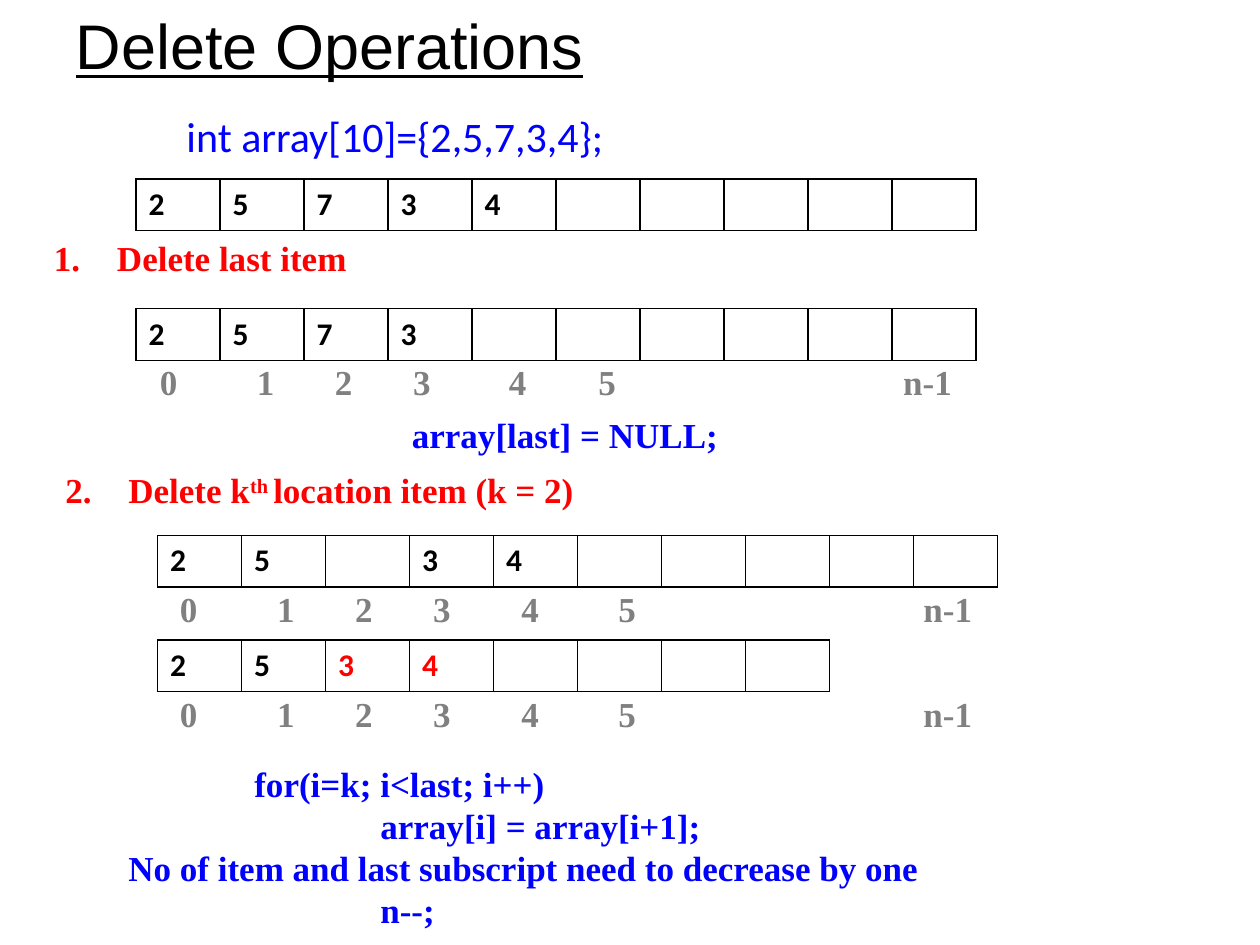
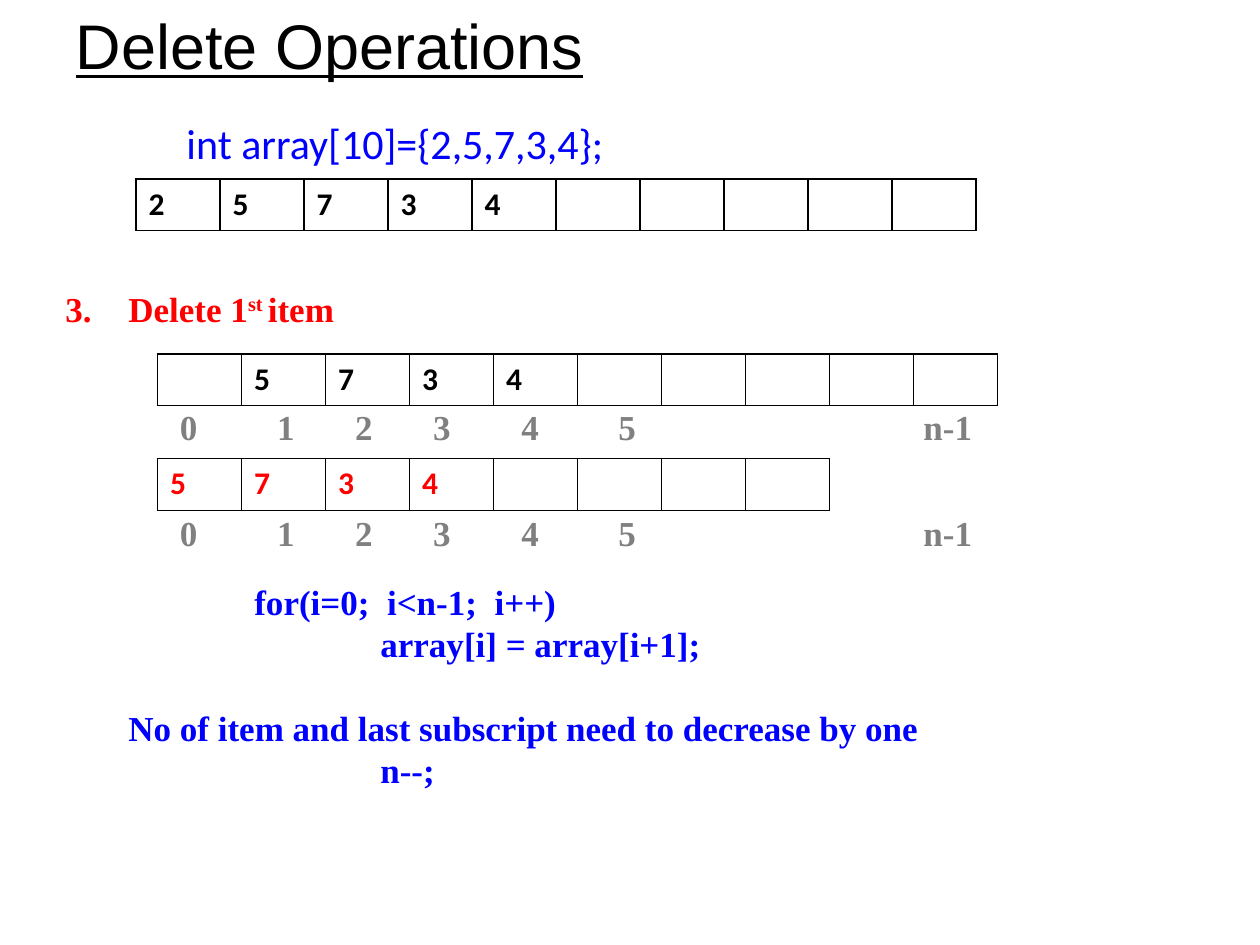
from lxml import etree
from pptx import Presentation
from pptx.dml.color import RGBColor
from pptx.enum.text import MSO_ANCHOR, MSO_AUTO_SIZE as AUTO, PP_ALIGN
from pptx.oxml.ns import qn
from pptx.util import Inches, Pt

BLACK, WHITE, RED, BLUE, GREY = "000000", "FFFFFF", "FF0000", "0000FF", "808080"
TITLE = dict(name="Arial", size=Pt(36), underline=True, color=BLACK)
DECLARATION = dict(name="Calibri", size=Pt(24), color=BLUE)
CELL = dict(name="Calibri", size=Pt(18), bold=True)
SERIF = dict(name="Times New Roman", size=Pt(20), bold=True)

CELL_W, CELL_H = 2 / 3, 0.41
LINE_H = 24  # points
INDENT = 1.0

# Arrays: left, top, cell count, values, colours of the values
# Index rows: left, top, tab position of index 4
# Headings: left, top, number, runs (every second one superscript)
# Code: left, top, width, height, wrap, lines of (indent level, space before, text)
slides = [
    dict(
        body_top=0.83,
        arrays=[
            (1.08, 1.42, 10, "25734", [BLACK] * 5),
            (1.08, 2.45, 10, "2573", [BLACK] * 4),
            (1.25, 4.25, 10, "25 34", [BLACK] * 5),
            (1.25, 5.08, 8, "2534", [BLACK] * 2 + [RED] * 2),
        ],
        indices=[(1.17, 2.81, 2.77), (1.33, 4.61, 2.71), (1.33, 5.45, 2.71)],
        headings=[
            (0.33, 1.83, 1, ["Delete last item"]),
            (0.42, 3.67, 2, ["Delete k", "th ", "location item (k = 2)"]),
        ],
        code=[
            (3.17, 3.23, 2.72, 0.44, False, [(0, 0, "array[last] = NULL;")]),
            (0.92, 6, 7.92, 1.78, True, [
                (1, 0, "for(i=k; i<last; i++)"),
                (2, 0, "array[i] = array[i+1];"),
                (0, 0, "No of item and last subscript need to decrease by one"),
                (2, 0, "n--;"),
            ]),
        ],
    ),
    dict(
        body_top=0.88,
        arrays=[
            (1.08, 1.42, 10, "25734", [BLACK] * 5),
            (1.25, 2.81, 10, " 5734", [BLACK] * 5),
            (1.25, 3.64, 8, "5734", [RED] * 4),
        ],
        indices=[(1.33, 3.17, 2.71), (1.33, 4.01, 2.71)],
        headings=[(0.42, 2.23, 3, ["Delete 1", "st ", "item"])],
        code=[
            (0.92, 4.56, 7.92, 2.12, True, [
                (1, 0, "for(i=0;  i<n-1;  i++)"),
                (2, 0, "array[i] = array[i+1];"),
                (0, LINE_H, "No of item and last subscript need to decrease by one"),
                (2, 0, "n--;"),
            ]),
        ],
    ),
]


def write(p, text, fmt, color):
    """Add a run to a paragraph and format it from a dict."""
    r = p.add_run()
    r.text = text
    for key, value in fmt.items():
        if key != "color":
            setattr(r.font, key, value)
    r.font.color.rgb = RGBColor.from_string(color)
    return r


def add_box(s, left, top, width, height, wrap=True):
    tf = s.shapes.add_textbox(*map(Inches, (left, top, width, height))).text_frame
    tf.word_wrap = wrap
    tf.auto_size = AUTO.SHAPE_TO_FIT_TEXT
    return tf


prs = Presentation()
prs.slide_width, prs.slide_height = Inches(10), Inches(7.5)

for content in slides:
    s = prs.slides.add_slide(prs.slide_layouts[1])

    title, body = s.placeholders
    for ph, top, height in ((title, -0.08, 0.87), (body, content["body_top"], 5.37)):
        ph.left, ph.top, ph.width, ph.height = map(Inches, (0.5, top, 9, height))
        ph.text_frame.auto_size = AUTO.NONE
    title.text_frame.vertical_anchor = MSO_ANCHOR.MIDDLE
    p = title.text_frame.paragraphs[0]
    p.alignment = PP_ALIGN.LEFT
    write(p, "Delete Operations", TITLE, TITLE["color"])

    p = body.text_frame.paragraphs[0]
    p.level = 1
    p.space_before = Pt(0)
    pPr = p._p.get_or_add_pPr()
    pPr.set("marL", str(Inches(0.88)))
    pPr.set("indent", "0")
    etree.SubElement(pPr, qn("a:buNone"))
    write(p, "int array[10]={2,5,7,3,4};", DECLARATION, DECLARATION["color"])

    for left, top, count, values, colors in content["arrays"]:
        box = map(Inches, (left, top, count * CELL_W, CELL_H))
        table = s.shapes.add_table(1, count, *box).table
        table.first_row = table.horz_banding = False
        for column in table.columns:
            column.width = Inches(CELL_W)
        for cell in table.iter_cells():
            tcPr = cell._tc.get_or_add_tcPr()
            for side in ("a:lnL", "a:lnR", "a:lnT", "a:lnB"):
                ln = etree.SubElement(tcPr, qn(side), w=str(Pt(1)))
                fill = etree.SubElement(ln, qn("a:solidFill"))
                etree.SubElement(fill, qn("a:srgbClr"), val=BLACK)
            cell.fill.solid()
            cell.fill.fore_color.rgb = RGBColor.from_string(WHITE)
        for i, (value, color) in enumerate(zip(values, colors)):
            if value != " ":
                write(table.cell(0, i).text_frame.paragraphs[0], value, CELL, color)

    for left, top, four in content["indices"]:
        p = add_box(s, left, top, 6.58, 0.44).paragraphs[0]
        tabs = etree.SubElement(p._p.get_or_add_pPr(), qn("a:tabLst"))
        for stop in (0.77, 1.39, 2.01, four, 3.48, 5.9):
            etree.SubElement(tabs, qn("a:tab"), pos=str(Inches(stop)), algn="l")
        write(p, "\t".join(["0", "1", "2", "3", "4", "5", "n-1"]), SERIF, GREY)

    for left, top, number, runs in content["headings"]:
        p = add_box(s, left, top, 8.25, 0.44).paragraphs[0]
        pPr = p._p.get_or_add_pPr()
        pPr.set("marL", str(Inches(0.5)))
        pPr.set("indent", str(-Inches(0.5)))
        etree.SubElement(pPr, qn("a:buFont"), typeface="+mj-lt")
        etree.SubElement(pPr, qn("a:buAutoNum"), type="arabicPeriod", startAt=str(number))
        for i, text in enumerate(runs):
            r = write(p, text, SERIF, RED)
            if i % 2:
                r.font._element.set("baseline", "30000")

    for left, top, width, height, wrap, lines in content["code"]:
        tf = add_box(s, left, top, width, height, wrap)
        for i, (level, before, text) in enumerate(lines):
            p = tf.add_paragraph() if i else tf.paragraphs[0]
            p._p.get_or_add_pPr().set("marL", str(Inches(level * INDENT)))
            if before:
                p.space_before = Pt(before)
            write(p, text, SERIF, BLUE)

prs.save("out.pptx")
